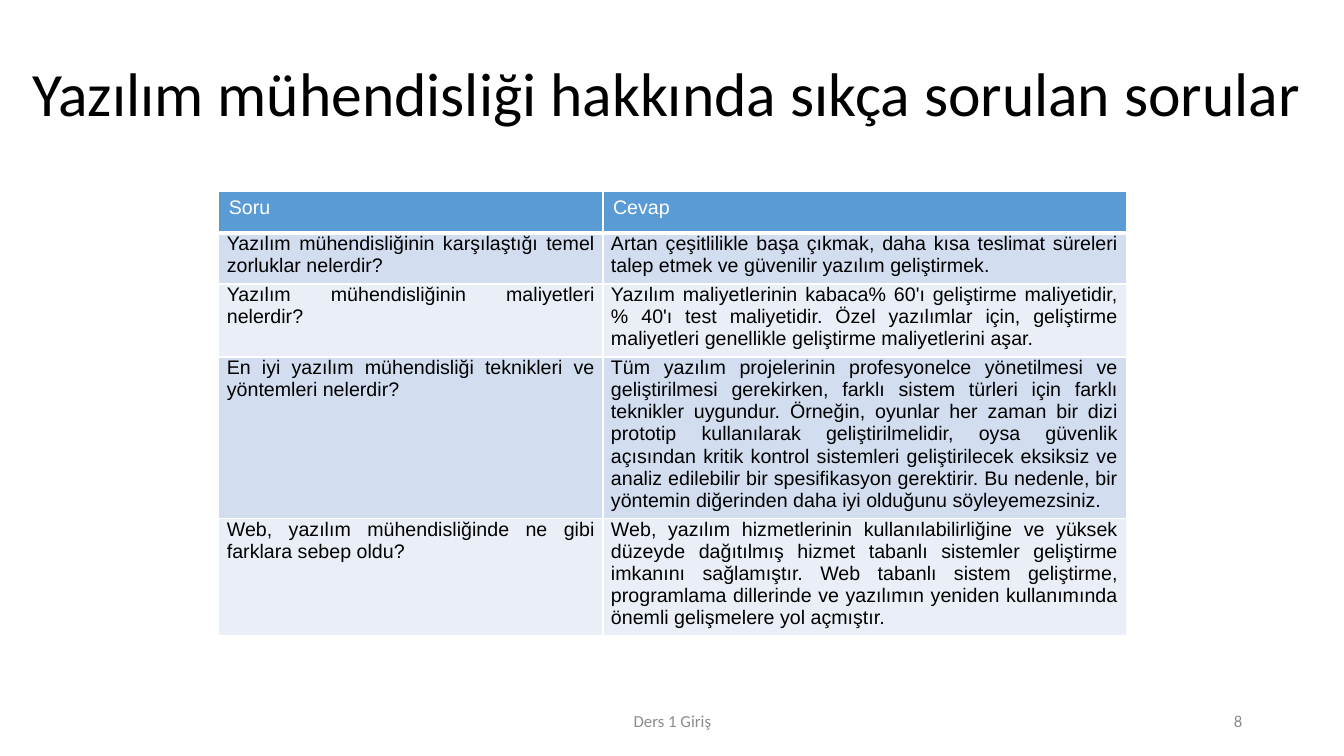
from dataclasses import dataclass

from lxml import etree
from pptx import Presentation
from pptx.dml.color import RGBColor
from pptx.enum.text import MSO_ANCHOR, PP_ALIGN
from pptx.oxml.ns import qn
from pptx.util import Inches, Pt


@dataclass(frozen=True)
class Theme:
    black: str = "000000"
    white: str = "FFFFFF"
    grey: str = "8C8C8C"
    header: str = "5B9BD5"
    bands: tuple = ("D2DEEF", "EAEFF7")
    heading_font: str = "Calibri"
    table_font: str = "Arial"
    title_size: int = 44
    table_size: int = 14
    footer_size: int = 12


THEME = Theme()

COLUMN_WIDTHS = (3.81, 5.19)
ROW_HEIGHT = 0.41
HEADER = ("Soru", "Cevap")
QUESTIONS = [
    ("Yazılım mühendisliğinin karşılaştığı temel zorluklar nelerdir?",
     "Artan çeşitlilikle başa çıkmak, daha kısa teslimat süreleri talep etmek "
     "ve güvenilir yazılım geliştirmek."),
    ("Yazılım mühendisliğinin maliyetleri nelerdir?",
     "Yazılım maliyetlerinin kabaca% 60'ı geliştirme maliyetidir,% 40'ı test "
     "maliyetidir. Özel yazılımlar için, geliştirme maliyetleri genellikle "
     "geliştirme maliyetlerini aşar."),
    ("En iyi yazılım mühendisliği teknikleri ve yöntemleri nelerdir?",
     "Tüm yazılım projelerinin profesyonelce yönetilmesi ve geliştirilmesi "
     "gerekirken, farklı sistem türleri için farklı teknikler uygundur. "
     "Örneğin, oyunlar her zaman bir dizi prototip kullanılarak "
     "geliştirilmelidir, oysa güvenlik açısından kritik kontrol sistemleri "
     "geliştirilecek eksiksiz ve analiz edilebilir bir spesifikasyon "
     "gerektirir. Bu nedenle, bir yöntemin diğerinden daha iyi olduğunu "
     "söyleyemezsiniz."),
    ("Web, yazılım mühendisliğinde ne gibi farklara sebep oldu?",
     "Web, yazılım hizmetlerinin kullanılabilirliğine ve yüksek düzeyde "
     "dağıtılmış hizmet tabanlı sistemler geliştirme imkanını sağlamıştır. "
     "Web tabanlı sistem geliştirme, programlama dillerinde ve yazılımın "
     "yeniden kullanımında önemli gelişmelere yol açmıştır."),
]


def set_format(target, values):
    for name, value in values.items():
        setattr(target, name, value)


def write_text(tf, text, font, size, color, align):
    p = tf.paragraphs[0]
    p.alignment = align
    r = p.add_run()
    r.text = text
    set_format(r.font, {"name": font, "size": Pt(size), "bold": False})
    r.font.color.rgb = RGBColor.from_string(color)
    return p


def add_title(s, text):
    title = s.shapes.title
    set_format(title, {"left": Inches(0.22), "top": Inches(0.63),
                       "width": Inches(12.89), "height": Inches(1.29)})
    tf = title.text_frame
    set_format(tf, {"vertical_anchor": MSO_ANCHOR.TOP, "word_wrap": True,
                    "margin_top": 0})
    p = write_text(tf, text, THEME.heading_font, THEME.title_size,
                   THEME.black, PP_ALIGN.LEFT)
    p.line_spacing = 0.9


def set_borders(cell, bottom):
    """Draw white borders, 1 pt wide except for the given bottom width."""
    tc_pr = cell._tc.get_or_add_tcPr()
    for side, width in {"L": 1, "R": 1, "T": 1, "B": bottom}.items():
        ln = etree.SubElement(tc_pr, qn(f"a:ln{side}"), w=str(Pt(width)))
        fill = etree.SubElement(ln, qn("a:solidFill"))
        etree.SubElement(fill, qn("a:srgbClr"), val=THEME.white)


def format_cell(cell, text, row):
    is_header = row == 0
    set_borders(cell, bottom=3 if is_header else 1)
    cell.fill.solid()
    fill = THEME.header if is_header else THEME.bands[(row - 1) % 2]
    cell.fill.fore_color.rgb = RGBColor.from_string(fill)
    if not is_header:
        set_format(cell, {"margin_left": Inches(0.08), "margin_top": 0,
                          "margin_right": Inches(0.08),
                          "margin_bottom": Inches(0.07)})
    write_text(cell.text_frame, text, THEME.table_font, THEME.table_size,
               THEME.white if is_header else THEME.black, PP_ALIGN.JUSTIFY)


def add_question_table(s):
    rows = [HEADER, *QUESTIONS]
    table = s.shapes.add_table(
        len(rows), len(HEADER), Inches(2.17), Inches(1.9),
        Inches(sum(COLUMN_WIDTHS)), Inches(ROW_HEIGHT * len(rows))).table
    for column, width in zip(table.columns, COLUMN_WIDTHS):
        column.width = Inches(width)
    for i, texts in enumerate(rows):
        for j, text in enumerate(texts):
            format_cell(table.cell(i, j), text, i)


def add_footer(s, text, left, width, align):
    sp = s.shapes.add_textbox(Inches(left), Inches(6.95),
                              Inches(width), Inches(0.4))
    tf = sp.text_frame
    set_format(tf, {"word_wrap": True, "vertical_anchor": MSO_ANCHOR.MIDDLE})
    write_text(tf, text, THEME.heading_font, THEME.footer_size,
               THEME.grey, align)


def main():
    prs = Presentation()
    set_format(prs, {"slide_width": Inches(13.33),
                     "slide_height": Inches(7.5)})
    s = prs.slides.add_slide(prs.slide_layouts.get_by_name("Title Only"))
    add_question_table(s)
    add_footer(s, "Ders 1 Giriş", 4.42, 4.5, PP_ALIGN.CENTER)
    add_footer(s, "8", 9.42, 3, PP_ALIGN.RIGHT)
    add_title(s, "Yazılım mühendisliği hakkında sıkça sorulan sorular")
    prs.save("out.pptx")


if __name__ == "__main__":
    main()
